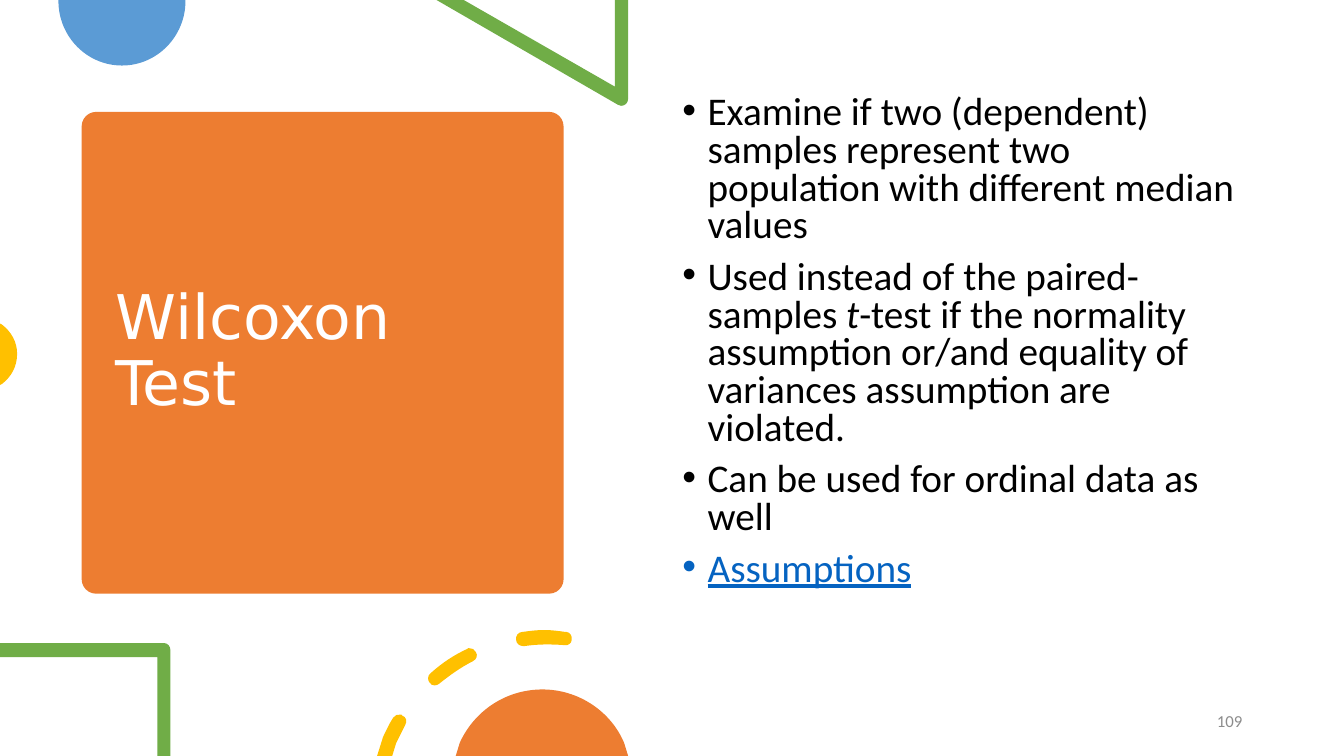
import lxml.etree
import pptx
import pptx.dml.color
import pptx.enum.shapes
import pptx.enum.text
import pptx.oxml.ns
import pptx.util
from pptx.util import Inches

ORANGE, BLUE, GREEN, GOLD = "ED7D31", "5B9BD5", "70AD47", "FFC000"
qn = pptx.oxml.ns.qn


def paint(target, color):
    """Colour a font, or fill a shape and drop its line and shadow."""
    rgb = pptx.dml.color.RGBColor.from_string(color)
    if hasattr(target, "shadow"):
        target.fill.solid()
        target.fill.fore_color.rgb = rgb
        target.line.fill.background()
        target.shadow.inherit = False
    else:
        target.color.rgb = rgb


def add_outline(contours, color):
    """Draw contours made of (x, y) corners and (x1, y1, x2, y2, x, y) curves."""
    builder = None
    for contour in contours:
        points = [(Inches(step[i]), Inches(step[i + 1]))
                  for step in contour for i in range(0, len(step), 2)]
        if builder is None:
            builder = s.shapes.build_freeform(*points[0])
        else:
            builder.move_to(*points[0])
        builder.add_line_segments(points[1:], close=True)
    sp = builder.convert_to_shape()
    paint(sp, color)

    # Merge the three segments through each pair of control points into one curve
    lines = iter(list(sp._element.iter(qn("a:lnTo"))))
    for contour in contours:
        for step in contour[1:]:
            line = next(lines)
            if len(step) == 6:
                curve = lxml.etree.Element(qn("a:cubicBezTo"))
                line.addprevious(curve)
                for segment in (line, next(lines), next(lines)):
                    curve.append(segment[0])
                    segment.getparent().remove(segment)


prs = pptx.Presentation()
prs.slide_width, prs.slide_height = Inches(13.33), Inches(7.5)
s = prs.slides.add_slide(prs.slide_layouts[6])

# Title card
card = s.shapes.add_shape(pptx.enum.shapes.MSO_SHAPE.ROUNDED_RECTANGLE,
                          Inches(0.81), Inches(1.11), Inches(4.78), Inches(4.78))
card.adjustments[0] = 0.03
paint(card, ORANGE)

# Decorations running off the slide edges
blue_disc = [(1.84, 0), (0.58, 0), (0.58, 0.01), (0.58, 0.36, 0.86, 0.65, 1.21, 0.65),
             (1.56, 0.65, 1.84, 0.36, 1.84, 0.01)]
triangle = [(6.23, 0), (6.1, 0), (6.1, 0.86), (4.6, 0), (4.33, 0), (6.13, 1.04),
            (6.14, 1.05, 6.15, 1.05, 6.16, 1.05), (6.2, 1.05, 6.23, 1.02, 6.23, 0.98)]
gold_disc = [(0, 3.21), (0, 3.82), (0.02, 3.81), (0.11, 3.74, 0.17, 3.64, 0.17, 3.51),
             (0.17, 3.39, 0.11, 3.29, 0.02, 3.22)]
corner = [(1.63, 6.38), (0, 6.38), (0, 6.52), (1.56, 6.52), (1.56, 7.5), (1.69, 7.5),
          (1.69, 6.45), (1.69, 6.41, 1.66, 6.38, 1.63, 6.38)]
low_dash = [(3.97, 7.09), (3.94, 7.08, 3.92, 7.1, 3.9, 7.12),
            (3.86, 7.18, 3.83, 7.25, 3.8, 7.31), (3.74, 7.5), (3.89, 7.5), (3.93, 7.37),
            (3.96, 7.31, 3.99, 7.25, 4.02, 7.19), (4.04, 7.16, 4.03, 7.11, 3.99, 7.1),
            (3.99, 7.09, 3.98, 7.09, 3.97, 7.09)]
middle_dash = [(4.65, 6.43), (4.65, 6.43, 4.64, 6.43, 4.63, 6.44),
               (4.5, 6.5, 4.38, 6.58, 4.27, 6.68), (4.24, 6.7, 4.24, 6.75, 4.26, 6.77),
               (4.27, 6.79, 4.29, 6.8, 4.31, 6.8), (4.31, 6.8),
               (4.33, 6.8, 4.35, 6.79, 4.36, 6.78), (4.46, 6.7, 4.57, 6.62, 4.69, 6.56),
               (4.73, 6.54, 4.74, 6.5, 4.72, 6.47), (4.71, 6.44, 4.68, 6.43, 4.65, 6.43)]
top_dash = [(5.4, 6.25), (5.32, 6.25, 5.25, 6.26, 5.18, 6.27),
            (5.14, 6.27, 5.11, 6.31, 5.12, 6.35), (5.12, 6.38, 5.15, 6.41, 5.19, 6.41),
            (5.19, 6.41, 5.19, 6.41, 5.2, 6.41), (5.33, 6.39, 5.46, 6.39, 5.6, 6.4),
            (5.63, 6.41, 5.67, 6.38, 5.67, 6.35), (5.68, 6.31, 5.65, 6.27, 5.62, 6.27),
            (5.62, 6.27, 5.61, 6.27, 5.61, 6.27), (5.54, 6.26, 5.47, 6.25, 5.4, 6.25)]
orange_disc = [(5.38, 6.84), (5.01, 6.84, 4.7, 7.06, 4.56, 7.37), (4.52, 7.5), (6.23, 7.5),
               (6.19, 7.37), (6.06, 7.06, 5.74, 6.84, 5.38, 6.84)]

for color, contours in [(BLUE, [blue_disc]), (GREEN, [triangle]), (GOLD, [gold_disc]),
                        (GREEN, [corner]), (GOLD, [low_dash, middle_dash, top_dash]),
                        (ORANGE, [orange_disc])]:
    add_outline(contours, color)

# Title
tf = s.shapes.add_textbox(Inches(1.05), Inches(1.22), Inches(4.31), Inches(4.56)).text_frame
tf.word_wrap = True
tf.vertical_anchor = pptx.enum.text.MSO_ANCHOR.MIDDLE
tf.text = "Wilcoxon Test"
p = tf.paragraphs[0]
p.line_spacing = 0.9
font = p.runs[0].font
font.name, font.size = "DejaVu Sans", pptx.util.Pt(44)
paint(font, "FFFFFF")

# Bullets
bullets = [
    ["Examine if two (dependent) samples represent two population with different median values"],
    ["Used instead of the paired-samples ", "t",
     "-test if the normality assumption or/and equality of variances assumption are violated."],
    ["Can be used for ordinal data as well"],
    ["Assumptions"],
]
tf = s.shapes.add_textbox(Inches(6.67), Inches(0.9), Inches(5.75), Inches(5.35)).text_frame
tf.word_wrap = True
for i, texts in enumerate(bullets):
    p = tf.add_paragraph() if i else tf.paragraphs[0]
    pPr = p._p.get_or_add_pPr()
    pPr.set("marL", str(Inches(0.25)))
    pPr.set("indent", str(-Inches(0.25)))
    lxml.etree.SubElement(pPr, qn("a:buFont")).set("typeface", "Arial")
    lxml.etree.SubElement(pPr, qn("a:buChar")).set("char", "•")
    p.line_spacing = 0.8
    p.space_before = pptx.util.Pt(10 if i else 0)
    for text in texts:
        r = p.add_run()
        r.text = text
        r.font.name, r.font.size = "Calibri", pptx.util.Pt(28)
        paint(r.font, "000000")
        if text == "t":
            r.font.italic = True
        elif text == "Assumptions":
            r.font.underline = True
            paint(r.font, "0563C1")

# Slide number
tf = s.shapes.add_textbox(Inches(9.42), Inches(6.95), Inches(3), Inches(0.4)).text_frame
tf.word_wrap = True
tf.vertical_anchor = pptx.enum.text.MSO_ANCHOR.MIDDLE
tf.text = "109"
p = tf.paragraphs[0]
p.alignment = pptx.enum.text.PP_ALIGN.RIGHT
font = p.runs[0].font
font.name, font.size = "Calibri", pptx.util.Pt(12)
paint(font, "8C8C8C")

prs.save("out.pptx")
